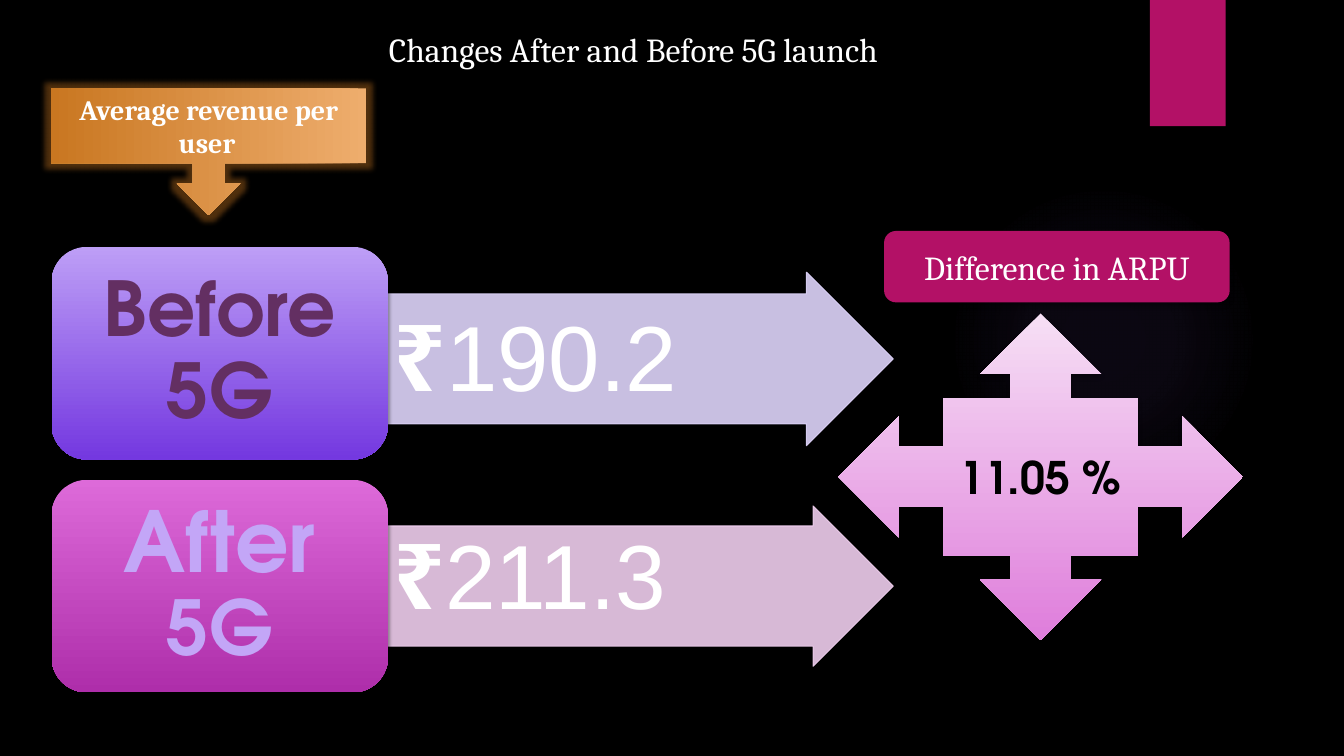
from lxml.etree import SubElement
from pptx import Presentation
from pptx.dml.color import RGBColor
from pptx.enum.shapes import MSO_SHAPE as Preset
from pptx.enum.text import MSO_ANCHOR as Anchor, PP_ALIGN as Align
from pptx.oxml import parse_xml
from pptx.oxml.ns import nsdecls, qn
from pptx.util import Cm, Pt

BLACK = RGBColor(0x00, 0x00, 0x00)
WHITE = RGBColor(0xFF, 0xFF, 0xFF)
MAGENTA = RGBColor(0xB3, 0x11, 0x66)
PLUM = RGBColor(0x63, 0x2F, 0x62)
LILAC = RGBColor(0xC3, 0xA6, 0xF7)
PALE_VIOLET = RGBColor(0xDE, 0xD4, 0xFA)
PALE_PINK = RGBColor(0xEF, 0xCE, 0xEE)
HALO = RGBColor(0x9B, 0x6B, 0xF2)
AMBER = RGBColor(0xC9, 0x77, 0x21)
VIOLET_FADE = RGBColor(0xBD, 0x9E, 0xF6), RGBColor(0x74, 0x38, 0xE0)
PINK_FADE = RGBColor(0xDD, 0x6A, 0xD9), RGBColor(0xAE, 0x2E, 0xAA)
BLUSH_FADE = RGBColor(0xF6, 0xDF, 0xF5), RGBColor(0xDF, 0x7D, 0xDB)
AMBER_FADE = RGBColor(0xEE, 0xAD, 0x6D), AMBER

SERIF, DISPLAY, FIGURES = "Cambria", "TeX Gyre Adventor", "Arial"
SOFT = 45, 3, 2
MEDIUM = 32, 3.5, 2.2
STRONG = 63, 4.5, 1.5


def add_alpha(color_element, percent):
    SubElement(color_element, qn("a:alpha")).set("val", str(percent * 1000))


class ArpuSlide:
    def __init__(self, deck):
        self.slide = deck.slides.add_slide(deck.slide_layouts[6])
        background = self.slide.background.fill
        background.solid()
        background.fore_color.rgb = BLACK

    def shape(self, preset, box, fill, shadow=None, adjustments=()):
        """Add a borderless shape; fill is one colour or a top-to-bottom pair."""
        shape = self.slide.shapes.add_shape(preset, *map(Cm, box))
        for index, value in enumerate(adjustments):
            shape.adjustments[index] = value
        if isinstance(fill, RGBColor):
            shape.fill.solid()
            shape.fill.fore_color.rgb = fill
        else:
            shape.fill.gradient()
            shape.fill.gradient_angle = 270
            for position, (stop, color) in enumerate(zip(shape.fill.gradient_stops, fill)):
                stop.position = position
                stop.color.rgb = color
        shape.line.fill.background()
        shape.shadow.inherit = False
        if shadow:
            self.effect(shape, "outerShdw", BLACK, shadow[0], blurRad=Pt(shadow[1]),
                        dist=Pt(shadow[2]), dir=90 * 60000, rotWithShape=0)
        return shape

    def effect(self, shape, kind, color, opacity, **settings):
        effects = shape.element.spPr.find(qn("a:effectLst"))
        effect = SubElement(effects, qn(f"a:{kind}"))
        for name, value in settings.items():
            effect.set(name, str(value))
        tint = SubElement(effect, qn("a:srgbClr"))
        tint.set("val", str(color))
        add_alpha(tint, opacity)
        if kind == "glow":
            effects.insert(0, effect)

    def put_text(self, shape, runs, font, color, align=Align.CENTER, anchor=Anchor.MIDDLE,
                 insets=(0.25, 0.13), spacing=None, wrap=True):
        """Fill the shape with one paragraph of (text, size, bold) runs."""
        frame = shape.text_frame
        frame.word_wrap = wrap
        frame.vertical_anchor = anchor
        frame.margin_left = frame.margin_right = Cm(insets[0])
        frame.margin_top = frame.margin_bottom = Cm(insets[1])
        paragraph = frame.paragraphs[0]
        paragraph.alignment = align
        paragraph.line_spacing = spacing
        for text, size, bold in runs:
            run = paragraph.add_run()
            run.text = text
            run.font.name = font
            run.font.size = Pt(size)
            run.font.bold = bold
            run.font.color.rgb = color

    def halo(self, box):
        halo = self.shape(Preset.OVAL, box, HALO)
        stops = "".join(
            f'<a:gs pos="{position * 1000}"><a:srgbClr val="{HALO}">'
            f'<a:alpha val="{alpha * 1000}"/></a:srgbClr></a:gs>'
            for position, alpha in ((0, 7), (36, 6), (69, 0)))
        radial = parse_xml(
            f'<a:gradFill {nsdecls("a")}><a:gsLst>{stops}</a:gsLst><a:path path="circle">'
            '<a:fillToRect l="50000" t="50000" r="50000" b="50000"/></a:path></a:gradFill>')
        properties = halo.element.spPr
        properties.replace(properties.find(qn("a:solidFill")), radial)

    def title(self, box, text):
        title = self.slide.shapes.add_textbox(*map(Cm, box))
        self.put_text(title, [(text, 24, False)], SERIF, WHITE, Align.LEFT, Anchor.TOP,
                      wrap=False)

    def amount_arrow(self, top, height, color, amount, size, spacing):
        arrow = self.shape(Preset.RIGHT_ARROW, (9.78, top, 12.73, height), color,
                           SOFT, (0.75, 0.5))
        arrow.line.color.rgb = color
        arrow.line.width = Pt(0.75)
        for fill in arrow.element.spPr.iter(qn("a:solidFill")):
            add_alpha(fill[0], 90)
        self.put_text(arrow, [("₹", size, True), (amount, size, False)], FIGURES, WHITE,
                      Align.JUSTIFY, Anchor.TOP, (0.13, 0.13), spacing)

    def period_card(self, top, fade, runs, color):
        card = self.shape(Preset.ROUNDED_RECTANGLE, (1.3, top, 8.48, 5.36), fade, SOFT)
        self.put_text(card, runs, DISPLAY, color, insets=(0.6, 0.3), spacing=0.9)

    def heading_callout(self, box, text):
        """Add a right-arrow callout turned to point down, with upright text."""
        callout = self.shape(Preset.RIGHT_ARROW_CALLOUT, box, AMBER_FADE, STRONG,
                             (0.25, 0.25, 0.25, 0.589))
        callout.rotation = 90
        self.effect(callout, "glow", AMBER, 40, rad=Pt(8))
        self.put_text(callout, [(text, 20, True), (" ", 11, True)], SERIF, WHITE)
        callout.element.txBody.bodyPr.set("vert", "vert270")


def main():
    deck = Presentation()
    deck.slide_width, deck.slide_height = Cm(33.87), Cm(19.05)
    arpu = ArpuSlide(deck)

    arpu.halo((23.9, 4.65, 7.82, 7.82))
    arpu.shape(Preset.RECTANGLE, (28.98, 0, 1.91, 3.18), MAGENTA, SOFT)
    arpu.title((9.55, 0.61, 13.44, 1.27), "Changes After and Before 5G launch")

    arpu.amount_arrow(6.86, 4.37, PALE_VIOLET, "190.2", 66, None)
    arpu.period_card(6.22, VIOLET_FADE, [("Before 5G", 54, True)], PLUM)
    arpu.amount_arrow(12.75, 4.04, PALE_PINK, "211.3", 65, 0.9)
    arpu.period_card(12.09, PINK_FADE,
                     [("After", 60, True), (" ", 44, True), ("5G", 54, True)], LILAC)

    change = arpu.shape(Preset.QUAD_ARROW_CALLOUT, (21.13, 7.9, 10.19, 8.23),
                        BLUSH_FADE, MEDIUM)
    arpu.put_text(change, [("11.05 %", 32, True)], DISPLAY, BLACK)
    arpu.heading_callout((3.66, -0.15, 3.2, 7.95), "Average revenue per user")
    label = arpu.shape(Preset.ROUNDED_RECTANGLE, (22.28, 5.82, 8.71, 1.8), MAGENTA, MEDIUM)
    arpu.put_text(label, [("Difference in ARPU", 24, False)], SERIF, WHITE)

    deck.save("out.pptx")


if __name__ == "__main__":
    main()
